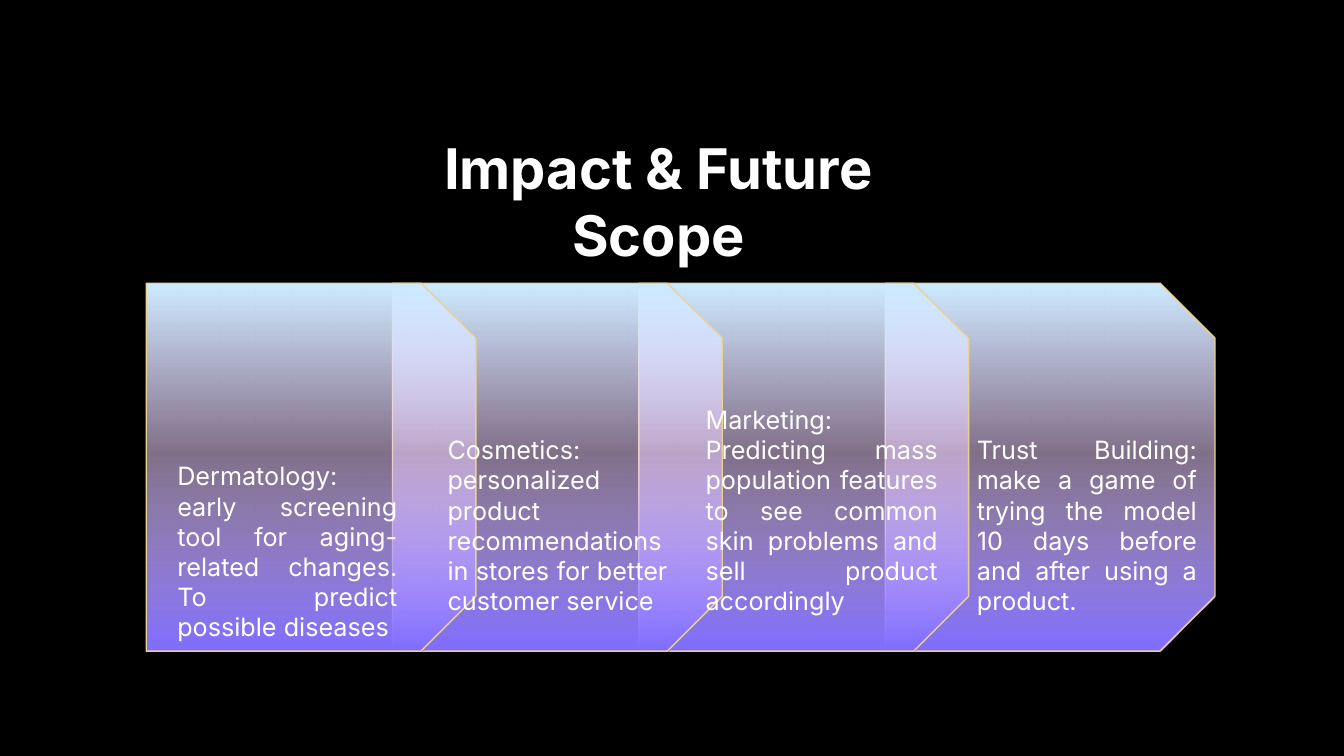
from lxml import etree
from pptx import Presentation
from pptx.dml.color import RGBColor
from pptx.enum.shapes import MSO_SHAPE as Shape
from pptx.enum.text import MSO_ANCHOR as Anchor, MSO_AUTO_SIZE as AutoSize, PP_ALIGN as Align
from pptx.oxml.ns import qn
from pptx.util import Inches, Pt

COLORS = {"background": "000000", "text": "FFFFFF", "outline": "EBD38F",
          "sky": "CCEBFF", "pink": "F0D2FF", "violet": "806DFF"}
# Position %, colour, opacity %
GRADIENT = [(0, "sky", 100), (46, "pink", 53), (100, "violet", 100)]

TITLE_BOX = (3.47, 1.27, 6.12, 0.87)
PANELS_BOX = (1.45, 2.81, 10.6, 3.65)
PANEL_WIDTH = 3.27

# Box (left, top, width, height) and paragraphs
TOPICS = [
    ((1.66, 4.52, 2.38, 1.92),
     ["Dermatology: early screening tool for aging-related changes. "
      "To predict possible diseases"]),
    ((4.34, 4.26, 2.38, 2.22),
     ["Cosmetics: personalized product recommendations in stores "
      "for better customer service"]),
    ((6.9, 3.96, 2.5, 2.22),
     ["Marketing:",
      "Predicting mass population features to see common skin problems "
      "and sell product accordingly"]),
    ((9.59, 4.26, 2.38, 1.92),
     ["Trust Building: make a game of trying the model 10 days before "
      "and after using a product."]),
]


def color(name):
    return RGBColor.from_string(COLORS[name])


def write_text(frame, paragraphs, align, **font_values):
    frame.word_wrap = True
    frame.auto_size = AutoSize.NONE
    frame.vertical_anchor = Anchor.TOP
    for index, text in enumerate(paragraphs):
        para = frame.add_paragraph() if index else frame.paragraphs[0]
        para.alignment = align
        para.line_spacing = 1.0
        run = para.add_run()
        run.text = text
        for name, value in {"name": "Inter", **font_values}.items():
            setattr(run.font, name, value)
        run.font.color.rgb = color("text")


def add_title(page, box):
    title = page.shapes.title
    for name, value in zip(("left", "top", "width", "height"), box):
        setattr(title, name, Inches(value))
    write_text(title.text_frame, ["Impact & Future Scope"], Align.CENTER,
               size=Pt(40), bold=True)


def fill_gradient(shape):
    shape.fill.gradient()
    shape.fill.gradient_angle = 0
    stops = shape.fill._fill._gradFill.find(qn("a:gsLst"))
    for stop in list(stops):
        stops.remove(stop)
    for position, name, opacity in GRADIENT:
        stop = etree.SubElement(stops, qn("a:gs"), pos=str(position * 1000))
        tint = etree.SubElement(stop, qn("a:srgbClr"), val=COLORS[name])
        if opacity < 100:
            etree.SubElement(tint, qn("a:alpha"), val=str(opacity * 1000))


def add_panels(page, box, count):
    left, top, width, height = box
    step = (width - PANEL_WIDTH) / (count - 1)
    # A quarter turn swaps the sides about the panel's centre
    shift = (height - PANEL_WIDTH) / 2
    # The leftmost panel lies in front
    for index in reversed(range(count)):
        panel = page.shapes.add_shape(
            Shape.SNIP_2_SAME_RECTANGLE,
            Inches(left + index * step - shift), Inches(top + shift),
            Inches(height), Inches(PANEL_WIDTH))
        panel.rotation = 90
        panel.shadow.inherit = False
        fill_gradient(panel)
        panel.line.color.rgb = color("outline")
        panel.line.width = Pt(1)


def add_topic(page, box, paragraphs):
    topic = page.shapes.add_textbox(*map(Inches, box))
    write_text(topic.text_frame, paragraphs, Align.JUSTIFY, size=Pt(18))


def main():
    deck = Presentation()
    deck.slide_width, deck.slide_height = Inches(13.33), Inches(7.5)
    page = deck.slides.add_slide(deck.slide_layouts[5])
    page.background.fill.solid()
    page.background.fill.fore_color.rgb = color("background")

    add_title(page, TITLE_BOX)
    add_panels(page, PANELS_BOX, len(TOPICS))
    for box, paragraphs in TOPICS:
        add_topic(page, box, paragraphs)
    deck.save("out.pptx")


if __name__ == "__main__":
    main()
